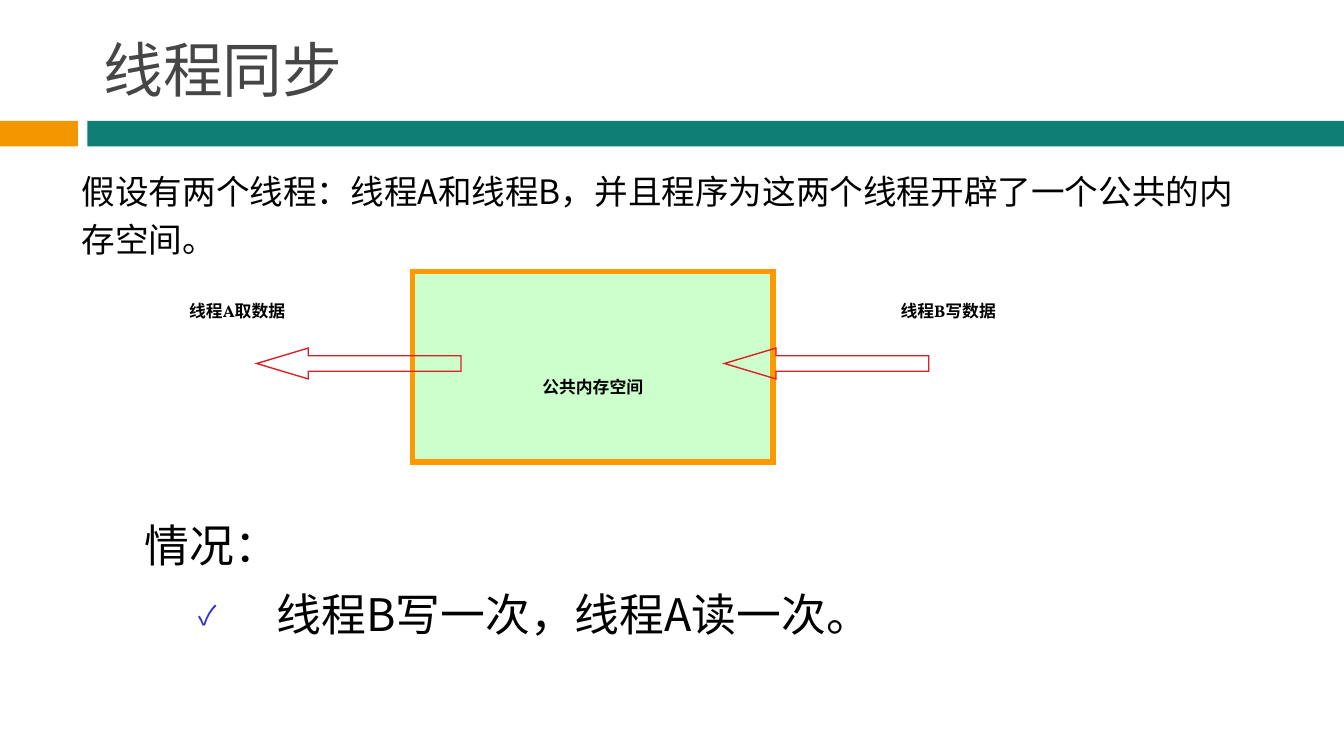
from lxml.etree import SubElement as Sub
from pptx import Presentation
from pptx.dml.color import RGBColor as RGB
from pptx.enum.shapes import MSO_SHAPE as SHAPE
from pptx.enum.text import MSO_ANCHOR as ANCHOR, PP_ALIGN as ALIGN
from pptx.oxml.ns import qn
from pptx.util import Inches, Pt

ORANGE = RGB(0xF2, 0x97, 0x00)
TEAL = RGB(0x0F, 0x7F, 0x76)
GREEN = RGB(0xCC, 0xFF, 0xCC)
AMBER = RGB(0xFF, 0x99, 0x00)
RED = RGB(0xDA, 0x1F, 0x28)
BLUE = RGB(0x33, 0x33, 0xCC)
GREY = RGB(0x46, 0x46, 0x46)
BLACK = RGB(0x00, 0x00, 0x00)
SANS = "Noto Sans CJK SC"
SERIF = "Vollkorn"
COLS, ROWS = 100, 56.25


def write(p, text, size=18, font=SANS, color=BLACK, bold=False,
          align=ALIGN.LEFT, line=1.0, before=0):
    """Write one formatted run into a paragraph."""
    p.alignment, p.line_spacing, p.space_before = align, line, Pt(before)
    r = p.add_run()
    r.text = text
    r.font.size, r.font.name, r.font.bold = Pt(size), font, bold
    r.font.color.rgb = color
    Sub(r._r.get_or_add_rPr(), qn("a:ea"), typeface=SANS)


def check_bullet(p, left, hanging):
    """Give a paragraph a small blue check mark and a hanging indent."""
    pPr = p._p.get_or_add_pPr()
    pPr.set("marL", str(Inches(left)))
    pPr.set("indent", str(-Inches(hanging)))
    Sub(Sub(pPr, qn("a:buClr")), qn("a:srgbClr"), val=str(BLUE))
    Sub(pPr, qn("a:buSzPct"), val="60000")
    Sub(pPr, qn("a:buFont"), typeface=SANS)
    Sub(pPr, qn("a:buChar"), char="✓")


class Deck:
    """Hold the presentation, its grid and the current slide."""

    def __init__(self):
        self.prs = Presentation()
        self.prs.slide_width = Inches(10)
        self.prs.slide_height = self.prs.slide_width * 9 // 16
        self.s = self.prs.slides.add_slide(self.prs.slide_layouts[6])

    def grid(self, x, y, w, h):
        """Turn columns and rows into slide lengths."""
        col, row = self.prs.slide_width / COLS, self.prs.slide_height / ROWS
        return [round(v) for v in (x * col, y * row, w * col, h * row)]

    def shape(self, kind, at, fill=None, line=None, weight=0.75):
        """Add a preset shape."""
        sp = self.s.shapes.add_shape(kind, *self.grid(*at))
        sp.shadow.inherit = False
        if fill is None:
            sp.fill.background()
        else:
            sp.fill.solid()
            sp.fill.fore_color.rgb = fill
        if line is None:
            sp.line.fill.background()
        else:
            sp.line.color.rgb, sp.line.width = line, Pt(weight)
            Sub(sp.line._get_or_add_ln(), qn("a:miter"), lim="800000")
        return sp

    def text(self, at, text, anchor=ANCHOR.TOP, **style):
        """Add a wrapping text box."""
        tf = self.s.shapes.add_textbox(*self.grid(*at)).text_frame
        tf.word_wrap, tf.vertical_anchor = True, anchor
        write(tf.paragraphs[0], text, **style)
        return tf

    def arrow(self, x):
        """Add a hollow left arrow on the data row."""
        sp = self.shape(SHAPE.LEFT_ARROW, (x, 25.9, 15.2, 2.3), line=RED)
        sp.adjustments[0], sp.adjustments[1] = 0.5, 1.67

    def memory(self, at, text, **style):
        """Add the shared memory box with its lowered caption."""
        tf = self.shape(SHAPE.RECTANGLE, at, GREEN, AMBER, 3).text_frame
        tf.word_wrap, tf.vertical_anchor = False, ANCHOR.MIDDLE
        tf.margin_top = Inches(0.35)
        write(tf.paragraphs[0], text, **style)


def main():
    """Build the slide."""
    label = dict(size=9, font=SERIF, bold=True, align=ALIGN.CENTER)
    deck = Deck()
    for x, w, color in ((0, 5.8, ORANGE), (6.5, 93.5, TEAL)):
        deck.shape(SHAPE.RECTANGLE, (x, 9, w, 1.9), color)
    deck.text((6.7, 2.1, 65.8, 6.2), "线程同步", ANCHOR.BOTTOM, size=32, color=GREY)
    deck.text((5.1, 11.6, 90, 8.5),
              "假设有两个线程：线程A和线程B，并且程序为这两个线程开辟了一个公共的内存空间。",
              line=1.2, before=7)
    deck.memory((30.7, 20.2, 26.8, 14.2), "公共内存空间", **label)
    for arrow_x, text_x, text in ((19.1, 7.5, "线程A取数据"), (53.9, 60.4, "线程B写数据")):
        deck.arrow(arrow_x)
        deck.text((text_x, 21.9, 20.3, 2.5), text, before=5.6, **label)
    tf = deck.text((9.8, 37.6, 81.1, 11), "情况：", size=24, line=1.1, before=7)
    p = tf.add_paragraph()
    write(p, "线程B写一次，线程A读一次。", size=24, line=1.1, before=5.5)
    check_bullet(p, 0.98, 0.58)
    deck.prs.save("out.pptx")


if __name__ == "__main__":
    main()
